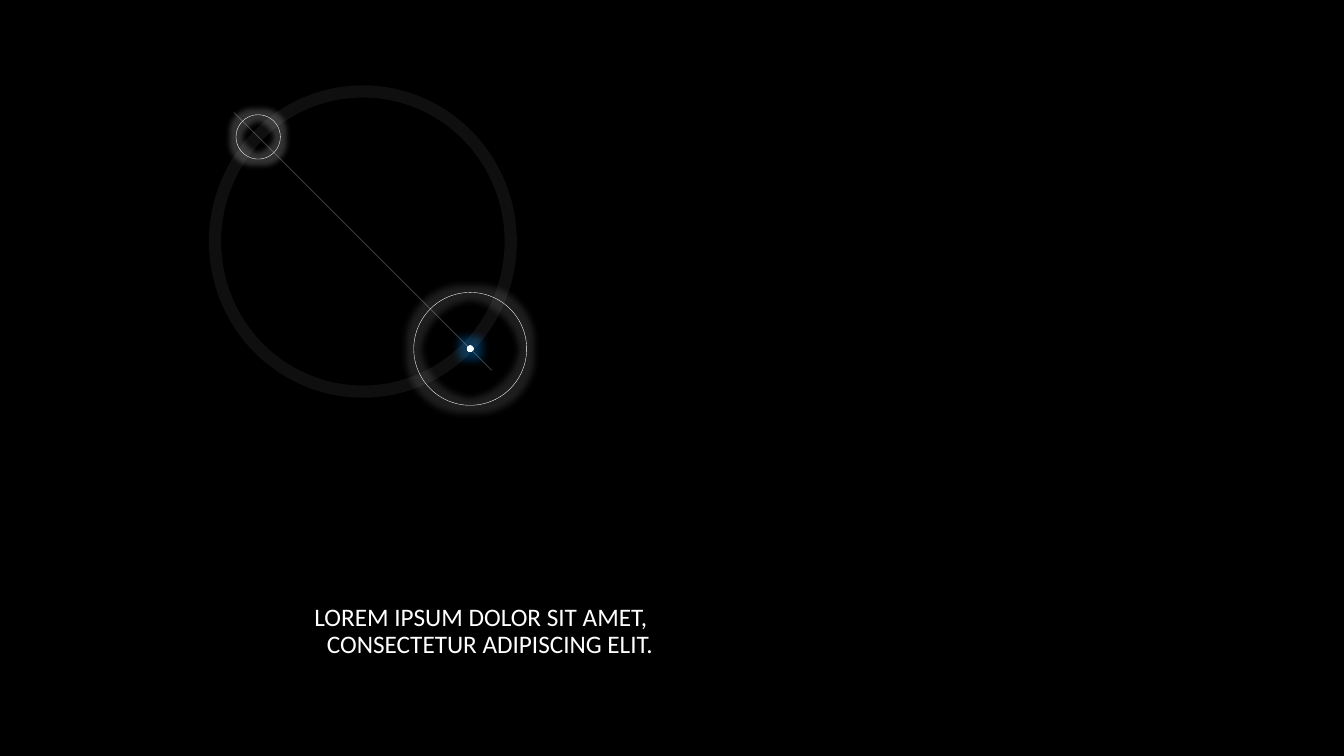
from lxml.etree import SubElement
from pptx import Presentation
from pptx.dml.color import RGBColor
from pptx.enum.shapes import MSO_CONNECTOR, MSO_SHAPE
from pptx.enum.text import MSO_ANCHOR, MSO_AUTO_SIZE, PP_ALIGN
from pptx.oxml.ns import qn
from pptx.util import Inches, Pt

SLIDE_W, SLIDE_H = Inches(13.33), Inches(7.5)
FONT = "Calibri"
COLORS = {
    "space": "000000",
    "white": "FFFFFF",
    "axis": "E7E6E6",
    "star_mid": "F7FFFF",
    "star_edge": "C1E4FF",
    "star_glow": "0070C0",
}


def rgb(name):
    return RGBColor.from_string(COLORS[name])


def add_color(parent, name, alpha=None):
    color = SubElement(parent, qn("a:srgbClr"), val=COLORS[name])
    if alpha is not None:
        SubElement(color, qn("a:alpha"), val=str(alpha * 1000))


def style_line(line, name, width, alpha=None):
    line.color.rgb = rgb(name)
    line.width = Pt(width)
    if alpha is not None:
        color = line.fill._xPr.find(".//" + qn("a:srgbClr"))
        SubElement(color, qn("a:alpha"), val=str(alpha * 1000))


def add_glow(effects, name, radius, alpha):
    glow = SubElement(effects, qn("a:glow"), rad=str(Pt(radius)))
    add_color(glow, name, alpha)


def add_ellipse(shapes, center, width, height, glow=None):
    """Unfilled ellipse around a centre; glow is (colour, points, percent)."""
    ellipse = shapes.add_shape(
        MSO_SHAPE.OVAL, int(center[0] - width / 2), int(center[1] - height / 2),
        int(width), int(height))
    ellipse.shadow.inherit = False
    ellipse.fill.background()
    ellipse.line.fill.background()
    if glow:
        add_glow(ellipse._element.spPr.find(qn("a:effectLst")), *glow)
    return ellipse


def fill_radial(shape, stops):
    shape.fill.gradient()
    gradient = shape._element.spPr.find(qn("a:gradFill"))
    for child in list(gradient):
        gradient.remove(child)
    stop_list = SubElement(gradient, qn("a:gsLst"))
    for position, name in stops:
        stop = SubElement(stop_list, qn("a:gs"), pos=str(position * 1000))
        add_color(stop, name)
    circle = SubElement(gradient, qn("a:path"), path="circle")
    SubElement(circle, qn("a:fillToRect"), l="50000", t="50000", r="50000", b="50000")


def build_orbit(slide, left, top, width, height):
    """Orbit filling the box, with bodies placed along its diagonal."""
    center = left + width / 2, top + height / 2

    def on_diagonal(share):
        return tuple(int(value + share * width) for value in center)

    moon, planet = on_diagonal(-0.354), on_diagonal(0.363)

    # Small body
    moon_ring = add_ellipse(slide.shapes, moon, 0.15 * width, 0.15 * width,
                            ("white", 8, 20))
    style_line(moon_ring.line, "white", 0.25)

    # Large body with its bright core
    planet_group = slide.shapes.add_group_shape().shapes
    planet_ring = add_ellipse(planet_group, planet, 0.382 * width, 0.382 * width,
                              ("white", 10, 12))
    style_line(planet_ring.line, "white", 0.25)
    star = add_ellipse(planet_group, planet, 0.022 * width, 0.022 * width,
                       ("star_glow", 12, 40))
    fill_radial(star, [(0, "white"), (65, "star_mid"), (70, "star_edge")])

    # Orbit and its axis
    orbit_group = slide.shapes.add_group_shape().shapes
    orbit = add_ellipse(orbit_group, center, width, height)
    style_line(orbit.line, "white", 8.75, 6)
    axis = orbit_group.add_connector(
        MSO_CONNECTOR.STRAIGHT, *on_diagonal(-0.436), *on_diagonal(0.436))
    style_line(axis.line, "axis", 0.5, 30)
    SubElement(axis._element.spPr, qn("a:effectLst"))


def build_subtitle(slide, left, top, width, height):
    subtitle = slide.placeholders[1]
    subtitle.left, subtitle.top = int(left), int(top)
    subtitle.width, subtitle.height = int(width), int(height)
    frame = subtitle.text_frame
    frame.word_wrap = True
    frame.auto_size = MSO_AUTO_SIZE.NONE
    frame.vertical_anchor = MSO_ANCHOR.TOP
    frame.margin_left = frame.margin_right = 0
    frame.margin_top = frame.margin_bottom = 0
    paragraph = frame.paragraphs[0]
    paragraph.alignment = PP_ALIGN.RIGHT
    paragraph.line_spacing = 0.9
    paragraph.space_before = Pt(10)
    for index, text in enumerate(
            ["LOREM IPSUM DOLOR SIT AMET, ", "CONSECTETUR ADIPISCING ELIT."]):
        if index:
            paragraph.add_line_break()
        run = paragraph.add_run()
        run.text = text
        run.font.name = FONT
        run.font.size = Pt(18)
        run.font.color.rgb = rgb("white")


def build_cover(presentation):
    slide = presentation.slides.add_slide(presentation.slide_layouts[0])
    slide.background.fill.solid()
    slide.background.fill.fore_color.rgb = rgb("space")
    unused_title = slide.shapes.title._element
    unused_title.getparent().remove(unused_title)
    build_subtitle(slide, 0.062 * SLIDE_W, 0.8 * SLIDE_H,
                   0.424 * SLIDE_W, 0.101 * SLIDE_H)
    build_orbit(slide, 0.16 * SLIDE_W, 0.121 * SLIDE_H,
                0.22 * SLIDE_W, 0.397 * SLIDE_H)


presentation = Presentation()
presentation.slide_width, presentation.slide_height = SLIDE_W, SLIDE_H
build_cover(presentation)
presentation.save("out.pptx")
